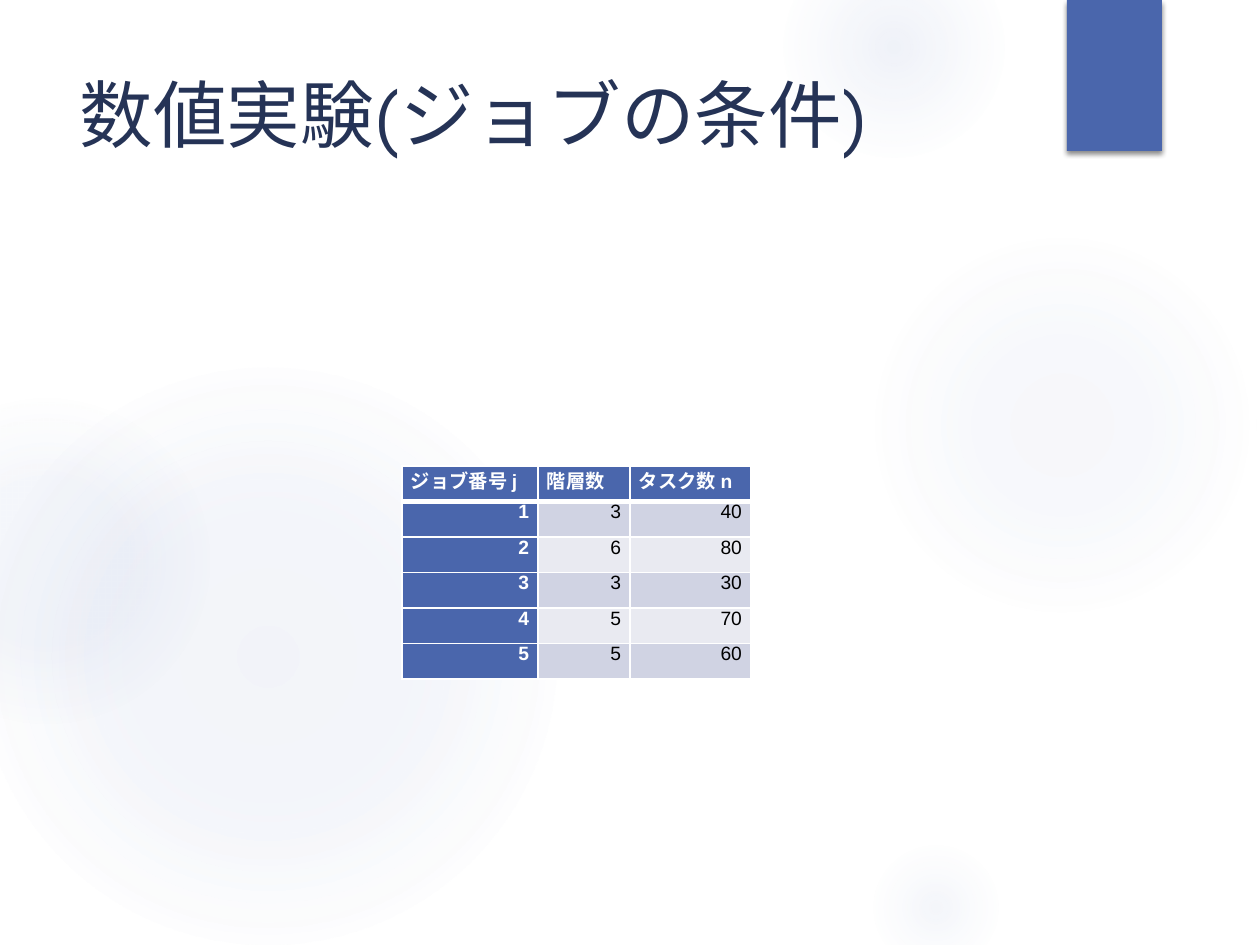
import pptx
import pptx.dml.color
import pptx.enum.shapes
import pptx.enum.text
import pptx.oxml
import pptx.oxml.ns
import pptx.util

EMU_PER_PX = 914400 / 126
NAMESPACE = pptx.oxml.ns.nsdecls("a")
SHAPES = pptx.enum.shapes.MSO_SHAPE
ALIGN = pptx.enum.text.PP_ALIGN
BLUE, NAVY, GLOW, WHITE, BLACK = "4A66AC", "253356", "90A2CF", "FFFFFF", "000000"
BANDS = ("D0D3E3", "E9EAF1")

# left, top, diameter, then (position, opacity) stops in percent
GLOWS = [
    (868, 231, 388, [(0, 7), (36, 6), (69, 0)]),
    (784, -63, 220, [(0, 14), (36, 7), (73, 0)]),
    (868, 840, 136, [(0, 10), (31, 5), (66, 0)]),
    (-21, 368, 577, [(0, 11), (36, 10), (75, 0)]),
    (-116, 399, 325, [(0, 8), (36, 8), (72, 0)]),
]
JOBS = [
    ("ジョブ番号 j", "階層数", "タスク数 n"),
    (1, 3, 40),
    (2, 6, 80),
    (3, 3, 30),
    (4, 5, 70),
    (5, 5, 60),
]
COLUMN_WIDTHS = (136, 92, 121)


def px(length):
    return pptx.util.Emu(round(length * EMU_PER_PX))


def color(hex_string):
    return pptx.dml.color.RGBColor.from_string(hex_string)


def fill_solid(target, hex_string):
    target.fill.solid()
    target.fill.fore_color.rgb = color(hex_string)


def add_shape(slide, kind, left, top, width, height):
    shape = slide.shapes.add_shape(kind, px(left), px(top), px(width), px(height))
    shape.shadow.inherit = False
    shape.line.fill.background()
    return shape


def add_glow(slide, left, top, diameter, stops):
    """Add a circle that fades out from its centre."""
    circle = add_shape(slide, SHAPES.OVAL, left, top, diameter, diameter)
    stop_xml = "".join(
        f'<a:gs pos="{position * 1000}"><a:srgbClr val="{GLOW}">'
        f'<a:alpha val="{opacity * 1000}"/></a:srgbClr></a:gs>'
        for position, opacity in stops
    )
    gradient = pptx.oxml.parse_xml(
        f'<a:gradFill {NAMESPACE} rotWithShape="1"><a:gsLst>{stop_xml}</a:gsLst>'
        '<a:path path="circle"><a:fillToRect l="50000" t="50000" r="50000" b="50000"/>'
        "</a:path></a:gradFill>"
    )
    circle.element.spPr.find(pptx.oxml.ns.qn("a:prstGeom")).addnext(gradient)


def add_ribbon(slide):
    ribbon = add_shape(slide, SHAPES.RECTANGLE, 1067, 0, 95, 151)
    fill_solid(ribbon, BLUE)
    shadow = pptx.oxml.parse_xml(
        f'<a:outerShdw {NAMESPACE} blurRad="{pptx.util.Pt(3)}" dist="{pptx.util.Pt(2)}" '
        f'dir="5400000" rotWithShape="0"><a:srgbClr val="{BLACK}">'
        '<a:alpha val="45000"/></a:srgbClr></a:outerShdw>'
    )
    ribbon.element.spPr.find(pptx.oxml.ns.qn("a:effectLst")).append(shadow)


def format_title(slide, text):
    title = slide.shapes.title
    title.left, title.top, title.width, title.height = map(px, (67, 63, 973, 193))
    title.element.getparent().append(title.element)  # in front of the glows
    frame = title.text_frame
    frame.text = text
    frame.word_wrap = True
    frame.auto_size = pptx.enum.text.MSO_AUTO_SIZE.NONE
    frame.vertical_anchor = pptx.enum.text.MSO_ANCHOR.TOP
    paragraph = frame.paragraphs[0]
    paragraph.alignment = ALIGN.LEFT
    paragraph.font.name = "TeX Gyre Adventor"
    paragraph.font.size = pptx.util.Pt(42)
    paragraph.font.color.rgb = color(NAVY)


def add_borders(cell, widths):
    """Add white borders; widths maps L, R, T and B to points, in that order."""
    properties = cell._tc.get_or_add_tcPr()
    for side, width in widths.items():
        properties.append(pptx.oxml.parse_xml(
            f'<a:ln{side} {NAMESPACE} w="{pptx.util.Pt(width)}"><a:solidFill>'
            f'<a:srgbClr val="{WHITE}"/></a:solidFill></a:ln{side}>'
        ))


def format_cell(cell, value, row, column):
    is_header = row == 0
    is_label = is_header or column == 0
    cell.text = str(value)
    cell.margin_left = cell.margin_right = px(9)
    cell.margin_top = cell.margin_bottom = 0
    add_borders(cell, {"L": 1, "R": 1, "T": 3 if row == 1 else 1, "B": 3 if is_header else 1})
    fill_solid(cell, BLUE if is_label else BANDS[(row - 1) % 2])
    paragraph = cell.text_frame.paragraphs[0]
    paragraph.alignment = ALIGN.JUSTIFY if is_header else ALIGN.RIGHT
    paragraph.font.name = "Arial"
    paragraph.font.size = pptx.util.Pt(11)
    paragraph.font.bold = is_label
    paragraph.font.color.rgb = color(WHITE if is_label else BLACK)


def add_job_table(slide):
    table = slide.shapes.add_table(
        len(JOBS), len(COLUMN_WIDTHS), px(402), px(466), px(sum(COLUMN_WIDTHS)), px(213)
    ).table
    table.first_col = True
    for column, width in zip(table.columns, COLUMN_WIDTHS):
        column.width = px(width)
    for row, values in enumerate(JOBS):
        for column, value in enumerate(values):
            format_cell(table.cell(row, column), value, row, column)


def main():
    presentation = pptx.Presentation()
    presentation.slide_width, presentation.slide_height = px(1260), px(945)
    slide = presentation.slides.add_slide(presentation.slide_layouts[5])
    fill_solid(slide.background, WHITE)
    for glow in GLOWS:
        add_glow(slide, *glow)
    add_ribbon(slide)
    format_title(slide, "数値実験(ジョブの条件)")
    add_job_table(slide)
    presentation.save("out.pptx")


if __name__ == "__main__":
    main()
